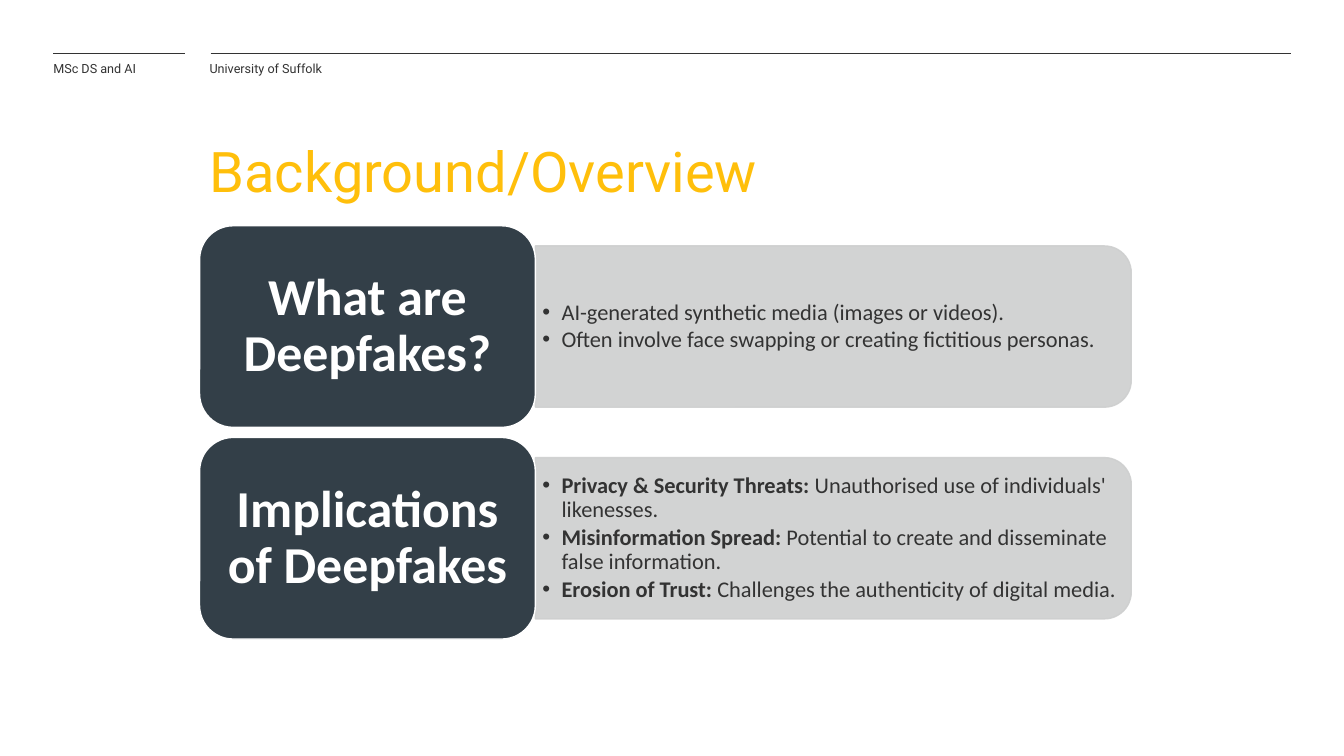
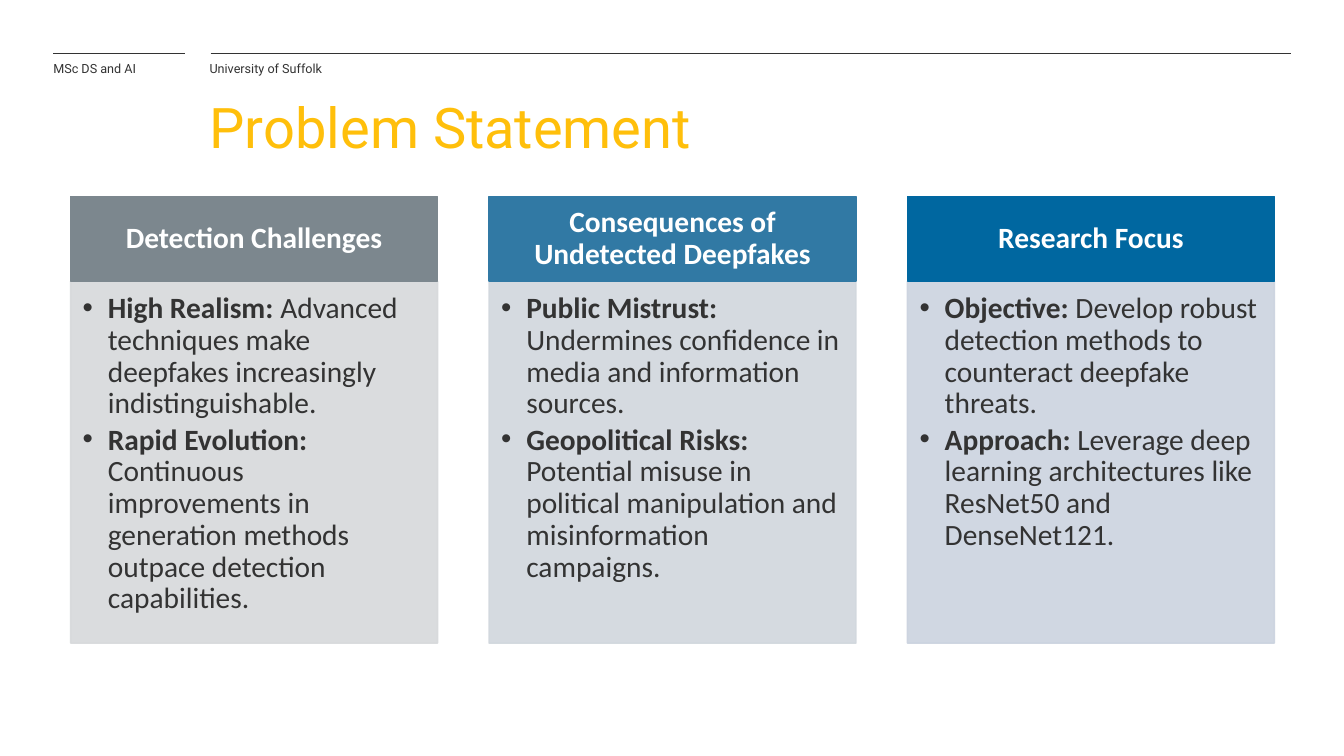
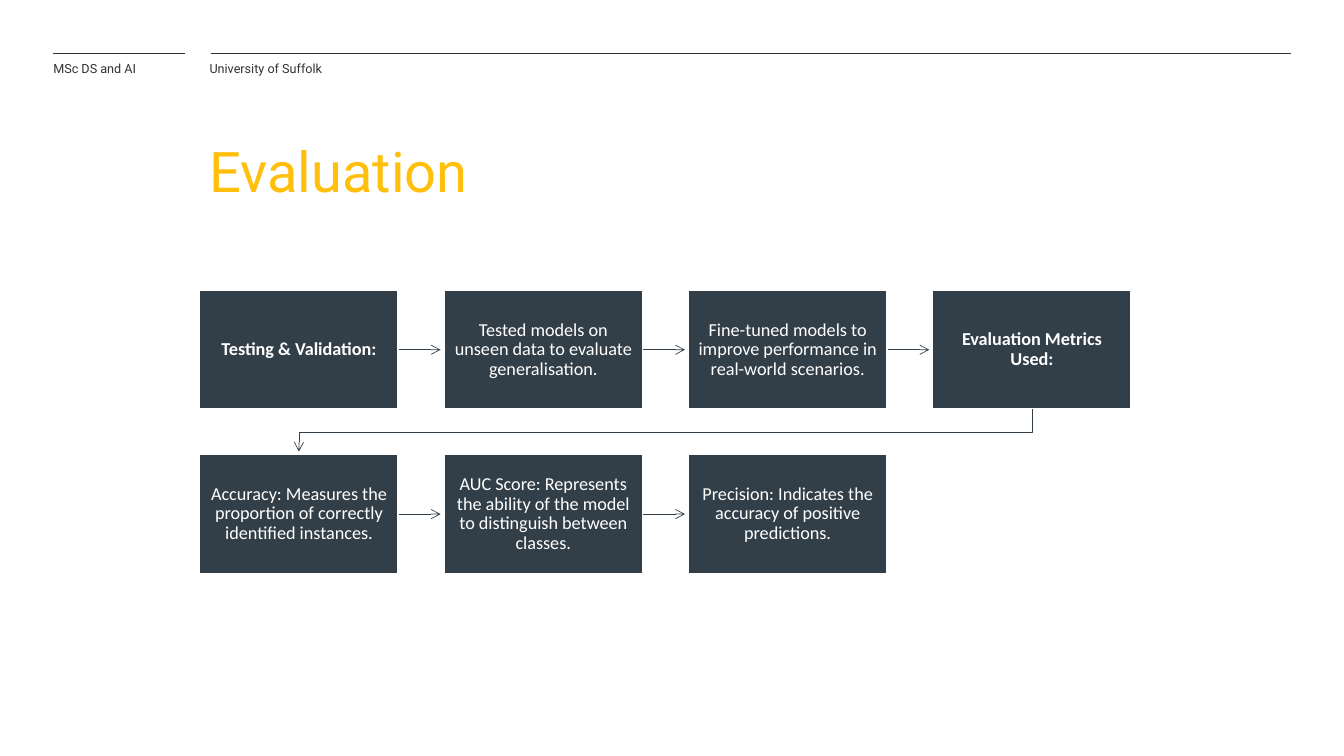
from dataclasses import dataclass
from lxml.etree import SubElement as Sub
from pptx import Presentation
from pptx.dml.color import RGBColor as RGB
from pptx.enum.shapes import MSO_CONNECTOR as Link, MSO_SHAPE as Form
from pptx.enum.text import MSO_ANCHOR as Anchor, MSO_AUTO_SIZE as Fit, PP_ALIGN as Align
from pptx.oxml.ns import qn
from pptx.util import Inches, Pt


@dataclass(frozen=True)
class Theme:
    ink: str = "333333"
    gold: str = "FFBF0B"
    slate: str = "333F48"
    pale: str = "CECFCF"
    white: str = "FFFFFF"
    brand: str = "Roboto"
    body: str = "Calibri"
    title: int = 40
    small: int = 9
    big: int = 37
    list: int = 16
    card: int = 21
    step: int = 13


T = Theme()
W, H = 13.33, 7.5
LEFT = 1.98      # main column, shared by title, label and diagrams
SPAN = 9.23
LOW, HIGH = 1.38, 0.95   # the two title heights
TITLE_ONLY, COMPARE = 5, 4

# ---- Content: lists hold (bold lead, plain rest) ----
RULES = [(0.53, 1.83), (2.09, 12.8)]
LABELS = [("MSc DS and AI", 0.43, 1.39), ("University of Suffolk", LEFT, 4.5)]

TOPICS = [
    ("What are Deepfakes?", [
        ("", "AI-generated synthetic media (images or videos)."),
        ("", "Often involve face swapping or creating fictitious personas."),
    ]),
    ("Implications of Deepfakes", [
        ("Privacy & Security Threats:", " Unauthorised use of individuals' likenesses."),
        ("Misinformation Spread:", " Potential to create and disseminate false information."),
        ("Erosion of Trust:", " Challenges the authenticity of digital media."),
    ]),
]

CARDS = [
    ("Detection Challenges", "7C878E", "D7D9DB", [
        ("High Realism:", " Advanced techniques make deepfakes increasingly indistinguishable."),
        ("Rapid Evolution:", " Continuous improvements in generation methods outpace detection capabilities."),
    ]),
    ("Consequences of Undetected Deepfakes", "3179A4", "D1D7DD", [
        ("Public Mistrust:", " Undermines confidence in media and information sources."),
        ("Geopolitical Risks:", " Potential misuse in political manipulation and misinformation campaigns."),
    ]),
    ("Research Focus", "0067A0", "CBD3DF", [
        ("Objective:", " Develop robust detection methods to counteract deepfake threats."),
        ("Approach:", " Leverage deep learning architectures like ResNet50 and DenseNet121."),
    ]),
]

STEPS = [  # rows of (text, bold)
    [("Testing & Validation:", True),
     ("Tested models on unseen data to evaluate generalisation.", False),
     ("Fine-tuned models to improve performance in real-world scenarios.", False),
     ("Evaluation Metrics Used:", True)],
    [("Accuracy: Measures the proportion of correctly identified instances.", False),
     ("AUC Score: Represents the ability of the model to distinguish between classes.", False),
     ("Precision: Indicates the accuracy of positive predictions.", False)],
]


# ---- Helpers ----
def place(item, x, y, w, h):
    item.left, item.top, item.width, item.height = map(Inches, (x, y, w, h))


def style(run, size, tint, face=T.body, bold=False):
    font = run.font
    font.size, font.name, font.bold = Pt(size), face, bold
    font.color.rgb = RGB.from_string(tint)


def setup(item, pads, anchor):
    frame = item.text_frame
    frame.word_wrap, frame.auto_size = True, Fit.NONE
    frame.vertical_anchor = anchor
    (frame.margin_left, frame.margin_top,
     frame.margin_right, frame.margin_bottom) = map(Inches, pads)
    return frame


def write(item, text, size, tint, face=T.body, bold=False, align=Align.LEFT,
          gap=0.9, pads=(0.1, 0.05, 0.1, 0.05), anchor=Anchor.MIDDLE):
    frame = setup(item, pads, anchor)
    frame.text = text
    para = frame.paragraphs[0]
    para.alignment, para.line_spacing = align, gap
    style(para.runs[0], size, tint, face, bold)


def paint(item, fill, edge, alpha=None):
    item.fill.solid()
    item.fill.fore_color.rgb = RGB.from_string(fill)
    item.line.color.rgb = RGB.from_string(edge)
    item.line.width = Pt(1)
    if alpha:
        for tone in list(item.element.spPr.iter(qn("a:srgbClr"))):
            Sub(tone, qn("a:alpha"), val=str(alpha * 1000))


def block(page, form, box, fill, edge, alpha=None):
    item = page.shapes.add_shape(form, *map(Inches, box))
    item.shadow.inherit = False
    paint(item, fill, edge, alpha)
    return item


def bullets(item, rows, size, hang, pads, anchor):
    frame = setup(item, pads, anchor)
    for i, row in enumerate(rows):
        para = frame.add_paragraph() if i else frame.paragraphs[0]
        prop = para._p.get_or_add_pPr()
        prop.set("marL", str(Inches(hang)))
        prop.set("indent", str(-Inches(hang)))
        Sub(prop, qn("a:buFont"), typeface="Arial")
        Sub(prop, qn("a:buChar"), char="•")
        para.alignment, para.line_spacing = Align.LEFT, 0.9
        para.space_before, para.space_after = Pt(0), Pt(round(size * 0.15, 1))
        for part, bold in zip(row, (True, False)):
            if part:
                run = para.add_run()
                run.text = part
                style(run, size, T.ink, bold=bold)


def stroke(item, tint):
    item.line.color.rgb = RGB.from_string(tint)
    item.line.width = Pt(0.5)


def rule(page, x1, y1, x2, y2, tint):
    line = page.shapes.add_connector(Link.STRAIGHT, *map(Inches, (x1, y1, x2, y2)))
    stroke(line, tint)
    Sub(line.element.spPr, qn("a:effectLst"))
    return line


def point(item):
    Sub(item.element.spPr.find(qn("a:ln")), qn("a:tailEnd"), type="arrow")


def start(deck, layout, title, top):
    """Add a page with its header and title; return it with its body slots."""
    page = deck.slides.add_slide(deck.slide_layouts[layout])
    for x1, x2 in RULES:
        rule(page, x1, 0.53, x2, 0.53, T.ink)
    for text, x, w in LABELS:
        box = page.shapes.add_textbox(*map(Inches, (x, 0.56, w, 0.4)))
        write(box, text, T.small, T.ink, T.brand, gap=1.0, anchor=Anchor.TOP)
    head = page.shapes.title
    place(head, LEFT, top, SPAN, 0.73)
    write(head, title, T.title, T.gold, T.brand, gap=0.8)
    slots = [p for p in page.placeholders if p.placeholder_format.idx]
    return page, slots


def trim(slots, used):
    for slot in slots[used:]:
        slot.element.getparent().remove(slot.element)


# ---- Slides ----
def background(deck):
    page, slots = start(deck, COMPARE, "Background/Overview", LOW)
    head, tall, pitch = 3.33, 2.0, 2.1
    long, deep = 5.91, 1.6
    for i, ((name, rows), slot) in enumerate(zip(TOPICS, slots)):
        y, x = 2.24 + i * pitch, LEFT + head
        mid = y + tall / 2
        # turned a quarter so the round corners face right
        box = (x + (long - deep) / 2, mid - long / 2, deep, long)
        panel = block(page, Form.ROUND_2_SAME_RECTANGLE, box, T.pale, T.pale, 90)
        panel.rotation = 90
        place(slot, x, mid - 0.72, 5.84, 1.44)
        bullets(slot, rows, T.list, 0.19, (0.07, 0.03, 0.07, 0.03), Anchor.MIDDLE)
        slot.element.getparent().append(slot.element)  # in front of its panel
        tile = block(page, Form.ROUNDED_RECTANGLE, (LEFT, y, head, tall), T.slate, T.white)
        write(tile, name, T.big, T.white, bold=True, align=Align.CENTER,
              pads=(0.15, 0.08, 0.15, 0.08))
    trim(slots, len(TOPICS))


def problem(deck):
    page, slots = start(deck, COMPARE, "Problem Statement", HIGH)
    wide, pitch, top, band = 3.64, 4.15, 1.95, 0.84
    for i, ((name, dark, light, rows), slot) in enumerate(zip(CARDS, slots)):
        x = 0.7 + i * pitch
        cap = block(page, Form.RECTANGLE, (x, top, wide, band), dark, dark)
        write(cap, name, T.card, T.white, bold=True, align=Align.CENTER,
              pads=(0.16, 0.09, 0.16, 0.09))
        place(slot, x, top + band, wide, 3.59)
        paint(slot, light, light, 90)
        bullets(slot, rows, T.card, 0.25, (0.12, 0.12, 0.16, 0.18), Anchor.TOP)
    trim(slots, len(CARDS))


def evaluation(deck):
    page, _ = start(deck, TITLE_ONLY, "Evaluation", LOW)
    wide, tall, top, drop, reach = 1.97, 1.18, 2.88, 1.63, 0.42
    pitch = (SPAN + 0.01 - wide) / (len(STEPS[0]) - 1)
    for r, row in enumerate(STEPS):
        y = top + r * drop
        for c, (text, bold) in enumerate(row):
            x = LEFT + c * pitch
            if c < len(row) - 1:
                mid = y + tall / 2
                point(rule(page, x + wide, mid, x + wide + reach, mid, T.slate))
            tile = block(page, Form.RECTANGLE, (x, y, wide, tall), T.slate, T.white)
            write(tile, text, T.step, T.white, bold=bold, align=Align.CENTER,
                  pads=(0.1,) * 4)
    # Turn from the end of the first row to the start of the second
    first, base = LEFT + wide / 2, top + tall
    last = first + pitch * (len(STEPS[0]) - 1)
    path = [(last, base), (last, base + 0.23), (first, base + 0.23), (first, base + reach)]
    dots = [tuple(map(Inches, dot)) for dot in path]
    pen = page.shapes.build_freeform(*dots[0])
    pen.add_line_segments(dots[1:], close=False)
    turn = pen.convert_to_shape()
    turn.shadow.inherit = False
    turn.fill.background()
    stroke(turn, T.slate)
    point(turn)


def main():
    deck = Presentation()
    deck.slide_width, deck.slide_height = Inches(W), Inches(H)
    for build in (background, problem, evaluation):
        build(deck)
    deck.save("out.pptx")


if __name__ == "__main__":
    main()
